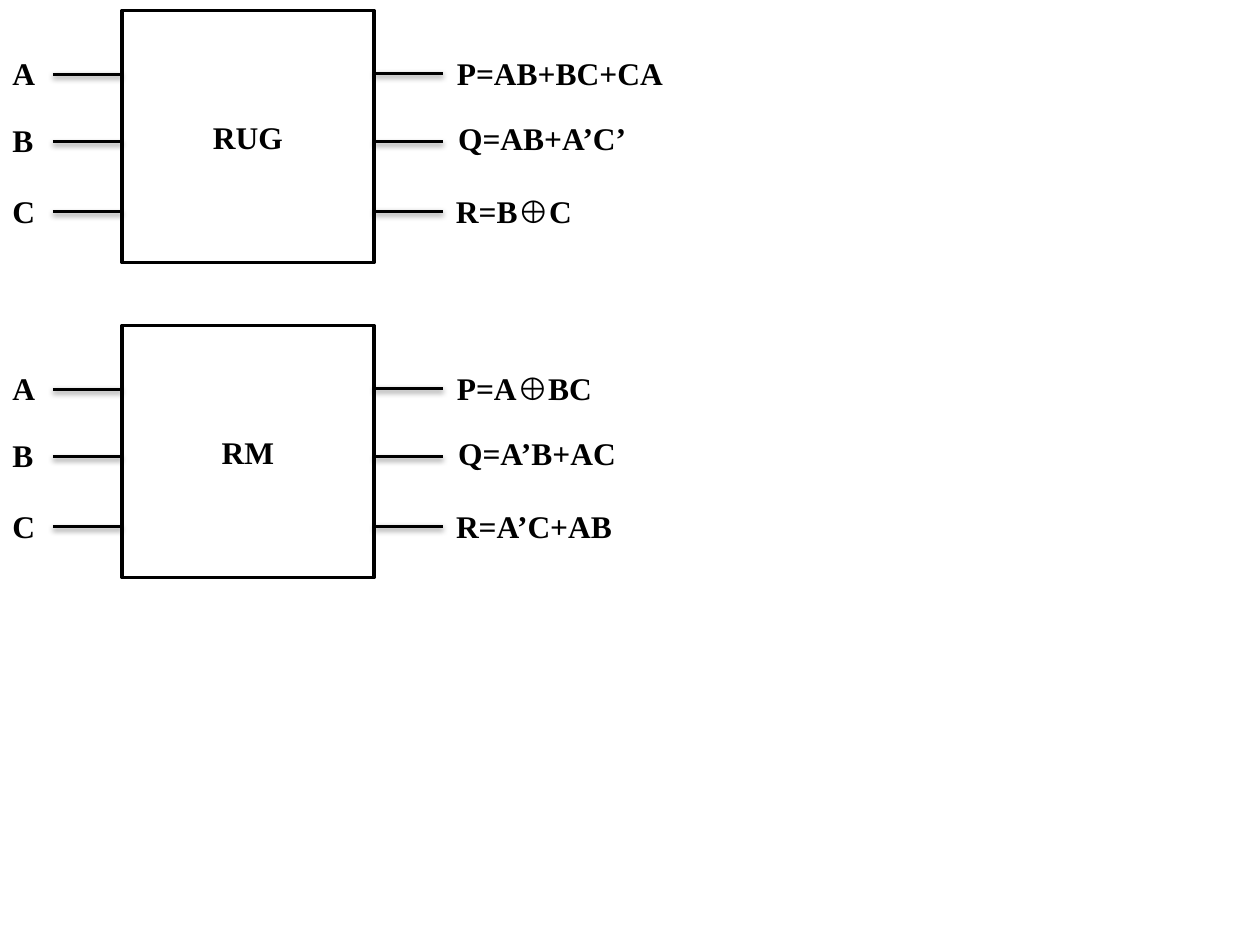
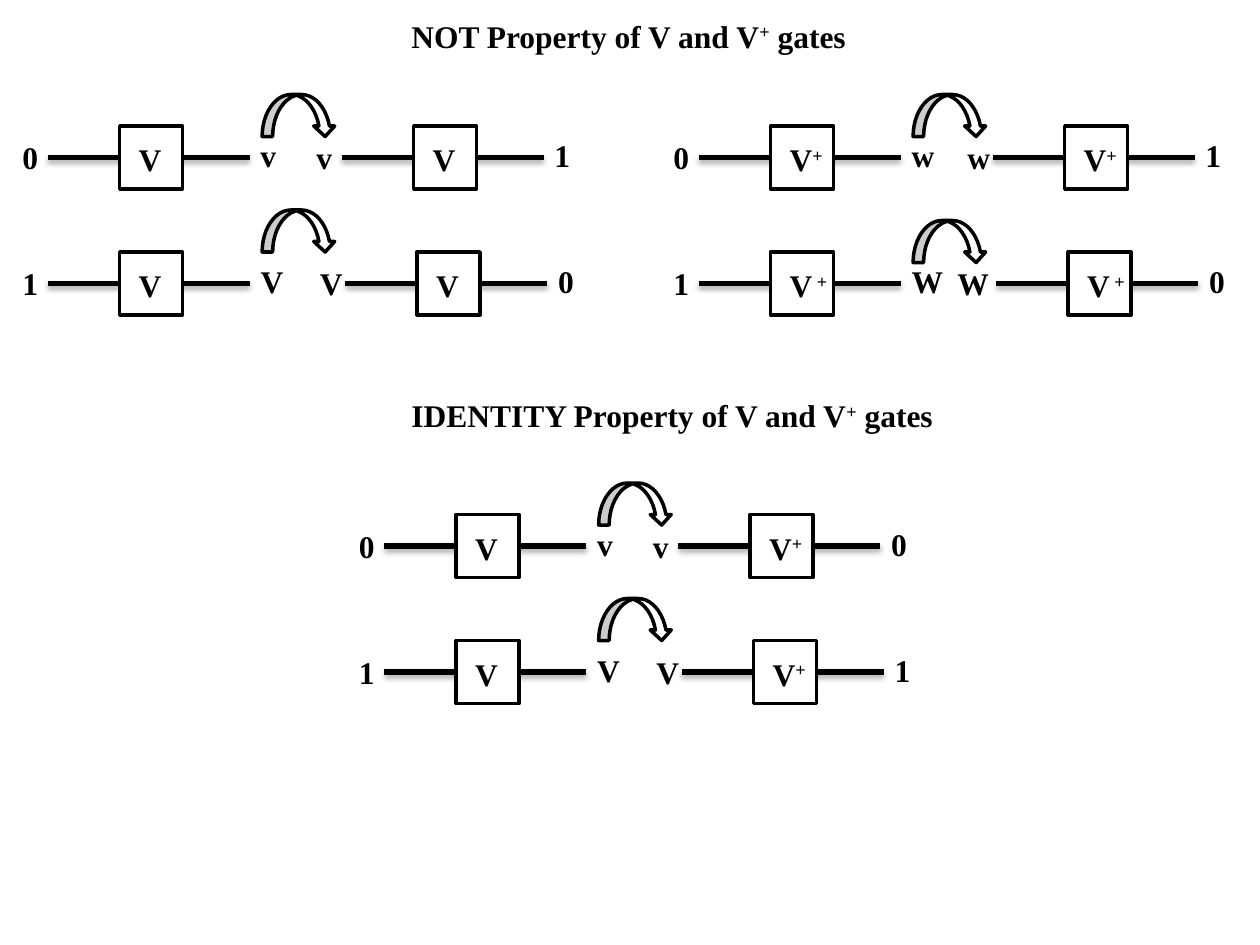
from dataclasses import dataclass

from lxml.etree import SubElement
from pptx import Presentation
from pptx.dml.color import RGBColor
from pptx.enum.shapes import MSO_CONNECTOR, MSO_SHAPE
from pptx.enum.text import MSO_ANCHOR, MSO_AUTO_SIZE, PP_ALIGN
from pptx.oxml.ns import qn
from pptx.util import Pt


@dataclass(frozen=True)
class Theme:
    ink: RGBColor = RGBColor(0, 0, 0)
    paper: RGBColor = RGBColor(255, 255, 255)
    font: str = "Times New Roman"
    size: int = 18
    outline: int = 2
    label_height: int = 29


theme = Theme()


def add_label(page, text, left, top, width):
    box = page.shapes.add_textbox(Pt(left), Pt(top), Pt(width), Pt(theme.label_height))
    box.text_frame.word_wrap = False
    box.text_frame.auto_size = MSO_AUTO_SIZE.SHAPE_TO_FIT_TEXT
    para = box.text_frame.paragraphs[0]
    para.font.name = theme.font
    para.font.size = Pt(theme.size)
    para.font.bold = True
    para.font.color.rgb = theme.ink
    for index, part in enumerate(text.split("^")):
        if part:
            span = para.add_run()
            span.text = part
            if index % 2:
                span._r.get_or_add_rPr().set("baseline", "30000")


def add_wire(page, start, end, y, width, shadow_distance, shadow_opacity):
    wire = page.shapes.add_connector(MSO_CONNECTOR.STRAIGHT, Pt(start), Pt(y), Pt(end), Pt(y))
    wire.line.color.rgb = theme.ink
    wire.line.width = Pt(width)
    effects = SubElement(wire._element.spPr, qn("a:effectLst"))
    shadow = SubElement(effects, qn("a:outerShdw"), blurRad=str(Pt(3.15)),
                        dist=str(Pt(shadow_distance)), dir="5400000", rotWithShape="0")
    color = SubElement(shadow, qn("a:srgbClr"), val=str(theme.ink))
    SubElement(color, qn("a:alpha"), val=str(shadow_opacity * 1000))


deck = Presentation()
deck.slide_width = Pt(720)
deck.slide_height = Pt(540)
blank = deck.slide_layouts[6]
outlined = []

page = deck.slides.add_slide(blank)
inputs = [("A", 27.4), ("B", 26.4), ("C", 27.4)]
input_wires = [36.5, 75, 115]
output_wires = [36, 75, 114.8]
input_tops = [27.5, 65.8, 106]
output_places = [(254, 27.2), (254.7, 64.2), (253.5, 106)]
gates = [
    ("RUG", 6, [("P=AB+BC+CA", 133), ("Q=AB+A’C’", 111), ("R=B⊕C", 81.4)]),
    ("RM", 186, [("P=A⊕BC", 92), ("Q=A’B+AC", 106), ("R=A’C+AB", 104.4)]),
]
for name, top, outputs in gates:
    gate = page.shapes.add_shape(MSO_SHAPE.RECTANGLE, Pt(69.7), Pt(top), Pt(144), Pt(144))
    outlined.append(gate)
    gate.text_frame.vertical_anchor = MSO_ANCHOR.MIDDLE
    para = gate.text_frame.paragraphs[0]
    para.text = name
    para.alignment = PP_ALIGN.CENTER
    para.font.name = theme.font
    para.font.size = Pt(theme.size)
    para.font.bold = True
    para.font.color.rgb = theme.ink
    for y in input_wires:
        add_wire(page, 30.3, 69.7, top + y, 2, 1.57, 38)
    for y in output_wires:
        add_wire(page, 213.7, 253, top + y, 2, 1.57, 38)
    for (text, width), y in zip(inputs, input_tops):
        add_label(page, text, 0, top + y - 6, width)
    for (text, width), (left, y) in zip(outputs, output_places):
        add_label(page, text, left, top + y - 6, width)

page = deck.slides.add_slide(blank)
add_label(page, "NOT Property of V and V^+^ gates", 228, 6, 266.4)
add_label(page, "IDENTITY Property of V and V^+^ gates", 228, 223, 316)

label_widths = {"0": 23.4, "1": 23.4, "v": 23.4, "V": 27.4, "w": 27.4,
                "W": 32.4, "V^+": 34.4, "V^ +": 37.4}
panels = [
    (68.4, 72, [("0", "V", "v", "V", "1", 18), ("1", "V", "V", "V", "0", 24)]),
    (440.4, 72, [("0", "V^+", "w", "V^+", "1", 18), ("1", "V^ +", "W", "V^ +", "0", 18)]),
    (260.7, 294, [("0", "V", "v", "V^+", "0", 18), ("1", "V", "V", "V^+", "1", 24)]),
]
for panel_left, panel_top, rows in panels:
    for row, (source, first, middle, second, result, arrow_rise) in enumerate(rows):
        top = panel_top + 72 * row
        second_left = panel_left + 168 + 2 * row
        stages = [(panel_left, source, first, middle), (second_left, middle, second, result)]
        for left, before, name, after in stages:
            add_wire(page, left - 41, left + 74.2, top + 18, 3, 1.81, 35)
            outlined.append(page.shapes.add_shape(
                MSO_SHAPE.RECTANGLE, Pt(left), Pt(top), Pt(36), Pt(36)))
            before_left = left - (70.4 if before == "W" else 62.7)
            add_label(page, name, left + 3.7, top + 4.6, label_widths[name])
            add_label(page, before, before_left, top + 3.5, label_widths[before])
            add_label(page, after, left + 73.4, top + 2.4, label_widths[after])
        outlined.append(page.shapes.add_shape(
            MSO_SHAPE.CURVED_DOWN_ARROW, Pt(panel_left + 81.4), Pt(top - arrow_rise), Pt(42), Pt(24)))

for shape in outlined:
    shape.shadow.inherit = False
    shape.fill.solid()
    shape.fill.fore_color.rgb = theme.paper
    shape.line.color.rgb = theme.ink
    shape.line.width = Pt(theme.outline)

deck.save("out.pptx")
